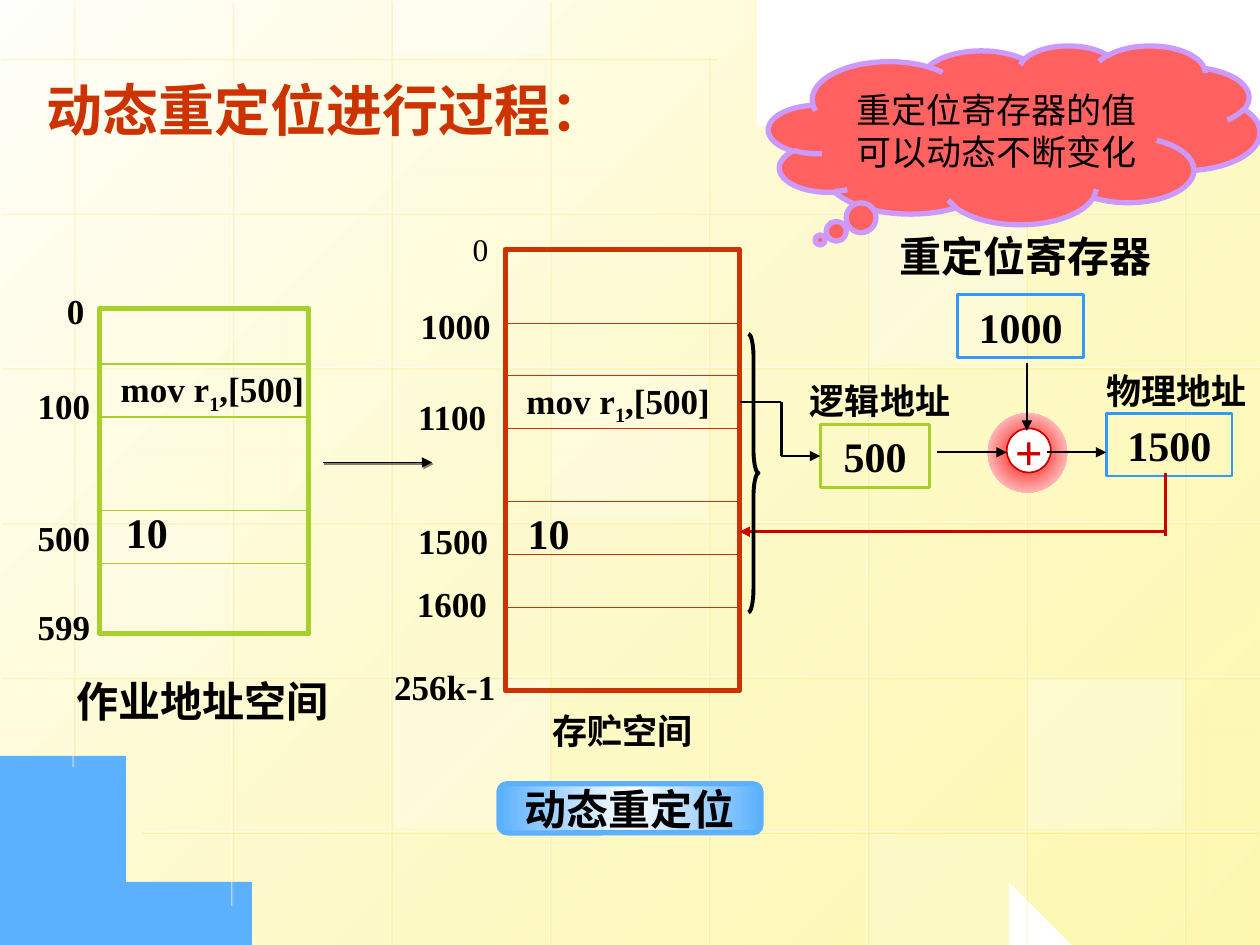
from lxml.etree import SubElement
from pptx import Presentation
from pptx.dml.color import RGBColor
from pptx.enum.shapes import MSO_CONNECTOR, MSO_SHAPE
from pptx.enum.text import MSO_ANCHOR, MSO_AUTO_SIZE, PP_ALIGN
from pptx.oxml.ns import qn
from pptx.util import Inches, Pt

WIDTH, HEIGHT = 10, 7.5
WHITE, BLACK = RGBColor(255, 255, 255), RGBColor(0, 0, 0)
CREAM, YELLOW = RGBColor(0xFF, 0xFF, 0xFB), RGBColor(0xFD, 0xF5, 0x8D)
AMBER, SKY = RGBColor(0xFF, 0xCC, 0x00), RGBColor(0x5C, 0xB1, 0xFE)
BLUE, GREEN = RGBColor(0x33, 0x99, 0xFF), RGBColor(0xA8, 0xD0, 0x2A)
ORANGE, CRIMSON = RGBColor(0xCC, 0x33, 0x00), RGBColor(0xCC, 0, 0)
RED, CORAL = RGBColor(255, 0, 0), RGBColor(0xFF, 0x61, 0x61)
LILAC = RGBColor(0xCC, 0x99, 0xFF)
SERIF = "Times New Roman"
LEFT, CENTER = PP_ALIGN.LEFT, PP_ALIGN.CENTER
LABEL_HEIGHT = {18: 0.4, 20: 0.43, 24: 0.5}

# Background: one point starts a segment's line, three points a Bezier curve
PAPER = [(10, 1.04), [(10, 4.27), (10, 7.5), (10, 7.5)],
         [(10, 7.5), (6.15, 7.5), (2.3, 7.5)], [(0.86, 6.61), (0, 5.39), (0, 5.39)],
         (0, 0), (4.21, 0.01), [(4.21, 0.01), (5.37, 0.69), (10, 1.04)]]
CORNER = [(0.01, 5.59), (0.01, 7.5), (2.03, 7.5), [(2.03, 7.5), (1.12, 7.09), (0.01, 5.59)]]
GRID_X, GRID_Y, STEP_X, STEP_Y = 0.58, 0.46, 1.26, 1.228
COLUMN_SPANS = [(0, 6.09), (0, 7.19), (0, 7.5), (0, 7.5),
                (0.43, 7.5), (0.68, 7.5), (0.85, 7.5), (0.98, 7.5)]
ROW_SPANS = [(0, 5.68)] + [(0, 10)] * 4 + [(1.11, 9.97)]
TILES = [(3, 2, 25), (6, 4, 30), (0, 3, 20), (5, 5, 20), (2, -1, 40), (2, 4, 30), (5, 1, 30)]

# Address spaces: frame, colour, row separators
SPACES = [((0.79, 2.45, 1.66, 2.58), GREEN, [2.89, 3.31, 4.05, 4.47]),
          ((4.01, 1.98, 1.86, 3.5), ORANGE, [2.57, 2.98, 3.4, 3.98, 4.4, 4.82])]
INSTRUCTION = ("mov r", "1", ",[500]")
# Labels: text, left, top, width, size, alignment
LABELS = [
    ("0", 0.43, 2.25, 0.34, 20, CENTER), ("100", 0.2, 3, 0.62, 20, LEFT),
    ("500", 0.2, 4.05, 0.62, 20, LEFT), ("599", 0.2, 4.76, 0.62, 20, LEFT),
    (INSTRUCTION, 0.86, 2.87, 1.66, 20, LEFT), ("10", 0.9, 3.97, 0.53, 24, LEFT),
    ("作业地址空间", 0.51, 5.31, 2.2, 24, LEFT),
    ("0", 3.65, 1.78, 0.33, 18, CENTER), ("1000", 3.24, 2.37, 0.76, 20, LEFT),
    ("1100", 3.22, 3.09, 0.76, 20, LEFT), ("1500", 3.22, 4.07, 0.76, 20, LEFT),
    ("1600", 3.21, 4.57, 0.76, 20, LEFT), ("256k-1", 3.03, 5.23, 1.03, 20, LEFT),
    (INSTRUCTION, 4.08, 2.96, 1.66, 20, LEFT), ("10", 4.09, 3.98, 0.53, 24, LEFT),
    ("存贮空间", 4.24, 5.58, 1.4, 20, CENTER),
    ("重定位寄存器", 7.04, 1.78, 2.2, 24, CENTER),
    ("逻辑地址", 6.33, 2.96, 1.31, 20, CENTER), ("物理地址", 8.68, 2.88, 1.32, 20, CENTER),
]
REGISTERS = [("1000", (7.6, 2.34, 1, 0.5), BLUE), ("500", (6.51, 3.37, 0.87, 0.5), GREEN),
             ("1500", (8.78, 3.28, 1, 0.5), BLUE)]
# Connectors: from, to, colour, width, arrow
FLOWS = [((5.87, 3.19), (6.2, 3.19), BLACK, 1.5, False),
         ((6.2, 3.19), (6.2, 3.62), BLACK, 1.5, False),
         ((8.15, 2.88), (8.15, 3.42), BLACK, 1, True),
         ((7.44, 3.59), (7.99, 3.59), BLACK, 1, True),
         ((8.31, 3.59), (8.78, 3.59), BLACK, 1, True),
         ((9.25, 3.75), (9.25, 4.25), CRIMSON, 1.5, False),
         ((9.25, 4.22), (5.87, 4.22), CRIMSON, 1.5, True)]

deck = Presentation()
deck.slide_width, deck.slide_height = Inches(WIDTH), Inches(HEIGHT)
page = deck.slides.add_slide(deck.slide_layouts[6])


def add_color(parent, color, alpha=100):
    node = SubElement(parent, qn("a:srgbClr"), val=str(color))
    if alpha < 100:
        SubElement(node, qn("a:alpha"), val=str(alpha * 1000))


def set_alpha(properties, alpha):
    color = next(properties.iter(qn("a:srgbClr")))
    SubElement(color, qn("a:alpha"), val=str(alpha * 1000))


def set_gradient(shape, stops, angle=None):
    """Stops are (position, colour, alpha); without an angle it is radial."""
    shape.fill.solid()
    solid = shape._element.spPr.find(qn("a:solidFill"))
    gradient = solid.makeelement(qn("a:gradFill"), {"rotWithShape": "1"})
    stop_list = SubElement(gradient, qn("a:gsLst"))
    for position, color, alpha in stops:
        add_color(SubElement(stop_list, qn("a:gs"), pos=str(position * 1000)), color, alpha)
    if angle is None:
        radial = SubElement(gradient, qn("a:path"), {"path": "circle"})
        SubElement(radial, qn("a:fillToRect"), dict.fromkeys("ltrb", "50000"))
    else:
        SubElement(gradient, qn("a:lin"), ang=str(angle * 60000), scaled="0")
    solid.getparent().replace(solid, gradient)


def style(shape, fill=None, line=None, width=1):
    shape.shadow.inherit = False
    if fill is None:
        shape.fill.background()
    else:
        shape.fill.solid()
        shape.fill.fore_color.rgb = fill
    if line is None:
        shape.line.fill.background()
    else:
        shape.line.color.rgb = line
        shape.line.width = Pt(width)
    return shape


def add_shape(kind, frame, fill=None, line=None, width=1):
    return style(page.shapes.add_shape(kind, *map(Inches, frame)), fill, line, width)


def add_curve(segments, fill):
    points = [segments[0]]
    for segment in segments[1:]:
        if isinstance(segment, tuple):
            points.append(segment)
            continue
        corners = [points[-1]] + segment
        for step in range(1, 25):
            t = step / 24
            weights = ((1 - t) ** 3, 3 * t * (1 - t) ** 2, 3 * t * t * (1 - t), t ** 3)
            points.append(tuple(sum(w * corner[axis] for w, corner in zip(weights, corners))
                                for axis in (0, 1)))
    builder = page.shapes.build_freeform(*points[0], scale=Inches(1))
    builder.add_line_segments(points[1:], close=True)
    return style(builder.convert_to_shape(), fill)


def add_line(start, end, color, width, arrow=False, shadow=None):
    """Shadow is (colour, alpha) or None."""
    line = page.shapes.add_connector(MSO_CONNECTOR.STRAIGHT, *map(Inches, start + end))
    line.line.color.rgb = color
    line.line.width = Pt(width)
    if arrow:
        SubElement(line.line._get_or_add_ln(), qn("a:tailEnd"), type="triangle")
    effects = SubElement(line._element.spPr, qn("a:effectLst"))
    if shadow:
        outer = SubElement(effects, qn("a:outerShdw"), dist="17780", dir="2700000")
        add_color(outer, *shadow)
    return line


def write(shape, text, size, align=CENTER, anchor=MSO_ANCHOR.MIDDLE, wrap=False,
          font=SERIF, color=BLACK, bold=True):
    """A tuple of text parts has every second part as a subscript."""
    frame = shape.text_frame
    frame.word_wrap, frame.vertical_anchor = wrap, anchor
    para = frame.paragraphs[0]
    para.alignment = align
    for index, part in enumerate([text] if isinstance(text, str) else text):
        span = para.add_run()
        span.text = part
        span.font.size, span.font.bold, span.font.name = Pt(size), bold, font
        span.font.color.rgb = color
        if index % 2:
            span.font._element.set("baseline", "-25000")


def add_background():
    paper = add_curve(PAPER, YELLOW)
    set_gradient(paper, [(0, CREAM, 100), (100, YELLOW, 70)], 45)
    add_curve(CORNER, SKY)
    columns = [((GRID_X + i * STEP_X, top), (GRID_X + i * STEP_X, bottom))
               for i, (top, bottom) in enumerate(COLUMN_SPANS)]
    rows = [((right, GRID_Y + i * STEP_Y), (left, GRID_Y + i * STEP_Y))
            for i, (left, right) in enumerate(ROW_SPANS)]
    for start, end in columns + rows:
        set_alpha(add_line(start, end, WHITE, 0.75, shadow=(AMBER, 34)).line._get_or_add_ln(), 50)
    for column, row, alpha in TILES:
        top = GRID_Y + 0.02 + row * STEP_Y
        bottom = min(HEIGHT, top + 1.18)
        top = max(0, top)
        tile = add_shape(MSO_SHAPE.RECTANGLE,
                         (GRID_X + 0.02 + column * STEP_X, top, 1.23, bottom - top), WHITE)
        set_alpha(tile._element.spPr, alpha)


add_background()
glow = add_shape(MSO_SHAPE.OVAL, (7.84, 3.28, 0.63, 0.63))
set_gradient(glow, [(0, RED, 100), (100, WHITE, 100)])
adder = add_shape(MSO_SHAPE.OVAL, (7.99, 3.4, 0.35, 0.35), WHITE, CRIMSON)
write(adder, "+", 28, color=CRIMSON)

for (left, top, width, height), color, separators in SPACES:
    add_shape(MSO_SHAPE.RECTANGLE, (left, top, width, height), None, color, 3)
    for y in separators:
        add_line((left, y), (left + width, y), color, 0.75)

for text, left, top, width, size, align in LABELS:
    box = page.shapes.add_textbox(*map(Inches, (left, top, width, LABEL_HEIGHT[size])))
    write(box, text, size, align, MSO_ANCHOR.TOP, bold=size > 18)
    box.text_frame.auto_size = MSO_AUTO_SIZE.SHAPE_TO_FIT_TEXT

registers = {}
for text, frame, color in REGISTERS:
    registers[text] = add_shape(MSO_SHAPE.RECTANGLE, frame, None, color, 1.5)
    write(registers[text], text, 24)

for flow in FLOWS:
    add_line(*flow)
add_line((6.2, 3.62), (6.51, 3.62), BLACK, 1.5, True).end_connect(registers["500"], 1)
add_line((2.56, 3.67), (3.43, 3.67), BLACK, 1, True, (BLACK, 50))

caption = add_shape(MSO_SHAPE.ROUNDED_RECTANGLE, (3.96, 6.22, 2.08, 0.39), SKY, SKY, 3)
set_gradient(caption, [(0, SKY, 100), (50, WHITE, 100), (100, SKY, 100)], 0)
write(caption, "动态重定位", 24)

title = page.shapes.add_textbox(*map(Inches, (0.27, 0.36, 4.88, 0.82)))
write(title, "动态重定位进行过程：", 32, LEFT, MSO_ANCHOR.BOTTOM, True, "Arial", ORANGE)

cloud = add_shape(MSO_SHAPE.CLOUD_CALLOUT, (6.1, 0.36, 3.9, 1.42), CORAL, LILAC, 3)
cloud.adjustments[0], cloud.adjustments[1] = -0.395, 0.588
write(cloud, "重定位寄存器的值可以动态不断变化", 20, wrap=True, font="Karla", bold=False)

brace = add_shape(MSO_SHAPE.RIGHT_BRACE, (5.94, 2.65, 0.08, 2.21), None, BLACK, 2.25)
brace.adjustments[0], brace.adjustments[1] = 2.354, 0.5

deck.save("out.pptx")
